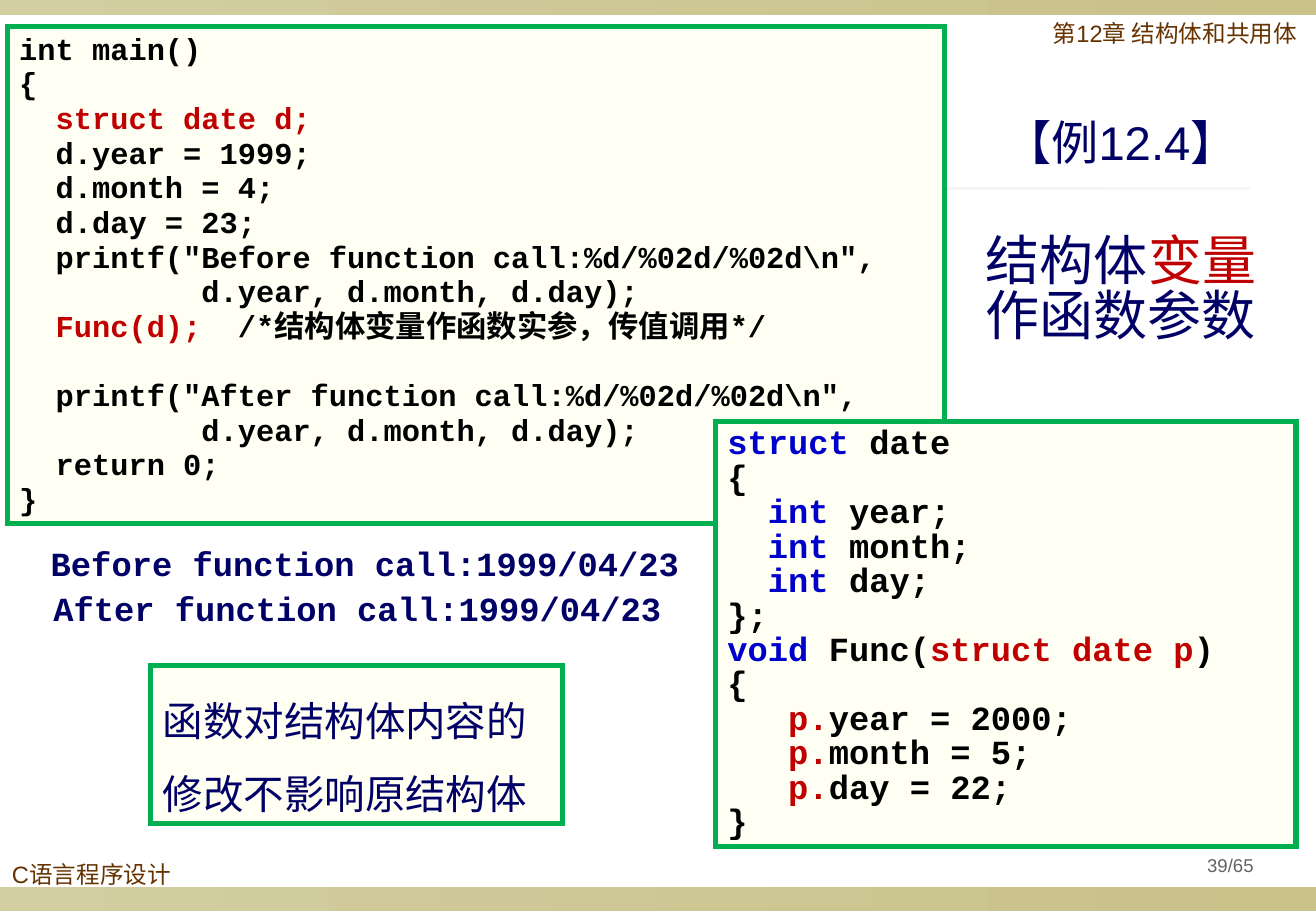
"""Build the slide on passing a struct variable to a function."""
import pptx
import pptx.util
import pptx.dml.color
import pptx.enum.shapes
import pptx.enum.text
import pptx.oxml.ns
import lxml.etree

Pt = pptx.util.Pt
RGBColor = pptx.dml.color.RGBColor
RECT = pptx.enum.shapes.MSO_SHAPE.RECTANGLE
ALIGN = pptx.enum.text.PP_ALIGN
ANCHOR = pptx.enum.text.MSO_ANCHOR

BLACK = RGBColor(0x00, 0x00, 0x00)
NAVY = RGBColor(0x00, 0x00, 0x66)
BLUE = RGBColor(0x00, 0x00, 0xCC)
RED = RGBColor(0xC0, 0x00, 0x00)
BROWN = RGBColor(0x66, 0x33, 0x00)
GREY = RGBColor(0x63, 0x63, 0x63)
GREEN = RGBColor(0x00, 0xB0, 0x50)
CREAM = RGBColor(0xFF, 0xFF, 0xF4)
SAND = RGBColor(0xD3, 0xCE, 0xA1)
KHAKI = RGBColor(0xC8, 0xC1, 0x8A)
PEARL = RGBColor(0xED, 0xEC, 0xE5)
MIST = RGBColor(0xF8, 0xF7, 0xF5)

deck = pptx.Presentation()
deck.slide_width, deck.slide_height = Pt(780.13), Pt(540)
slide = deck.slides.add_slide(deck.slide_layouts[6])


def write(shape, lines, font, para, frame):
    """Fill a shape with lines made of (text, colour) runs."""
    text = shape.text_frame
    for key, value in {"word_wrap": True, "vertical_anchor": ANCHOR.TOP, **frame}.items():
        setattr(text, key, value)
    for rank, line in enumerate(lines):
        part = text.add_paragraph() if rank else text.paragraphs[0]
        for key, value in {"alignment": ALIGN.LEFT, **para}.items():
            setattr(part, key, value)
        for words, tint in line:
            run = part.add_run()
            run.text = words
            run.font.color.rgb = tint
            for key, value in font.items():
                setattr(run.font, key, value)
    return text


def place(box):
    """Add a plain rectangle without outline or shadow."""
    shape = slide.shapes.add_shape(RECT, *map(Pt, box))
    shape.shadow.inherit = False
    shape.line.fill.background()
    return shape


bars = [
    ((0, 525.6, 780, 14.4), SAND, KHAKI),
    ((0, 0, 780, 8.7), SAND, KHAKI),
    ((38.9, 110.9, 702, 1.5), PEARL, MIST),
]
for box, start, end in bars:
    fill = place(box).fill
    fill.gradient()
    fill.gradient_angle = 0
    for stop, tint in zip(fill.gradient_stops, (start, end)):
        stop.color.rgb = tint

small = {"name": "Arial", "size": Pt(14)}
print_out = {"name": "Courier New", "size": Pt(20), "bold": True}
tight = {"line_spacing": 0.9}
free = {"word_wrap": False}
side = {"margin_left": Pt(3.6), "margin_right": Pt(3.6), "vertical_anchor": ANCHOR.MIDDLE}

labels = [
    ((0, 508.3, 123.8, 23), [("C语言程序设计", BROWN)], small, tight, {}),
    ((617, 9.4, 175.7, 28), [("第12章 结构体和共用体", BROWN)], small, tight, {}),
    ((23, 321.1, 387.4, 28.8), [("Before function call:1999/04/23", NAVY)],
     print_out, tight, free),
    ((24.5, 347.3, 375.1, 28.8), [("After function call:1999/04/23", NAVY)],
     print_out, tight, free),
    ((577.4, 139.7, 187.2, 66.2),
     [("结构体", NAVY), ("变量", RED), ("作函数参数", NAVY)],
     {"name": "Arial", "size": Pt(32)}, {"line_spacing": 0.85},
     {"vertical_anchor": ANCHOR.MIDDLE}),
    ((690.5, 502.6, 77.8, 22.3), [("39/65", GREY)],
     {"name": "Arial", "size": Pt(11)}, {**tight, "alignment": ALIGN.CENTER}, side),
]
for box, line, font, para, frame in labels:
    write(slide.shapes.add_textbox(*map(Pt, box)), [line], font, para, frame)

head = slide.shapes.add_textbox(Pt(568.8), Pt(65.8), Pt(184.3), Pt(39.6))
text = write(head, [[("【例12.4】", NAVY)]], {"name": "Arial", "size": Pt(28)},
             {"line_spacing": 0.95}, {})
props = text.paragraphs[0]._p.get_or_add_pPr()
props.set("marL", str(Pt(29.5)))
props.set("indent", str(Pt(-10.1)))

values = "          d.year, d.month, d.day);"
main = [
    [("int main()", BLACK)],
    [("{", BLACK)],
    [("  ", BLACK), ("struct date d;", RED)],
    [("  d.year = 1999;", BLACK)],
    [("  d.month = 4;", BLACK)],
    [("  d.day = 23;", BLACK)],
    [(r'  printf("Before function call:%d/%02d/%02d\n",', BLACK)],
    [(values, BLACK)],
    [("  ", BLACK), ("Func(d);", RED), ("  /*结构体变量作函数实参，传值调用*/", BLACK)],
    [(r'  printf("After function call:%d/%02d/%02d\n",', BLACK)],
    [(values, BLACK)],
    [("  return 0;", BLACK)],
    [("}", BLACK)],
]
func = [
    [("struct", BLUE), (" date", BLACK)],
    [("{", BLACK)],
    *[[("  ", BLACK), ("int", BLUE), (f" {field};", BLACK)]
      for field in ("year", "month", "day")],
    [("};", BLACK)],
    [("void", BLUE), (" Func(", BLACK), ("struct date p", RED), (")", BLACK)],
    [("{", BLACK)],
    *[[("   ", BLACK), ("p.", RED), (f"{field};", BLACK)]
      for field in ("year = 2000", "month = 5", "day = 22")],
    [("}", BLACK)],
]
note = [[("函数对结构体内容的修改不影响原结构体", NAVY)]]

panels = [
    ((4.3, 15.8, 555.8, 294.5), main, 18, True, 0.95),
    ((424.1, 249.8, 344.2, 252), func, 20, True, 0.85),
    ((89.3, 394.6, 244.1, 93.6), note, 24, False, 1.5),
]
for box, lines, size, bold, space in panels:
    panel = place(box)
    panel.fill.solid()
    panel.fill.fore_color.rgb = CREAM
    panel.line.color.rgb = GREEN
    panel.line.width = Pt(3)
    edge = panel.line._get_or_add_ln()
    lxml.etree.SubElement(edge, pptx.oxml.ns.qn("a:miter"), lim="800000")
    font = {"name": "Courier New", "size": Pt(size), "bold": bold}
    text = write(panel, lines, font, {"line_spacing": space}, {})
    if lines is main:
        text.paragraphs[9].space_before = Pt(20.5)

deck.save("out.pptx")
